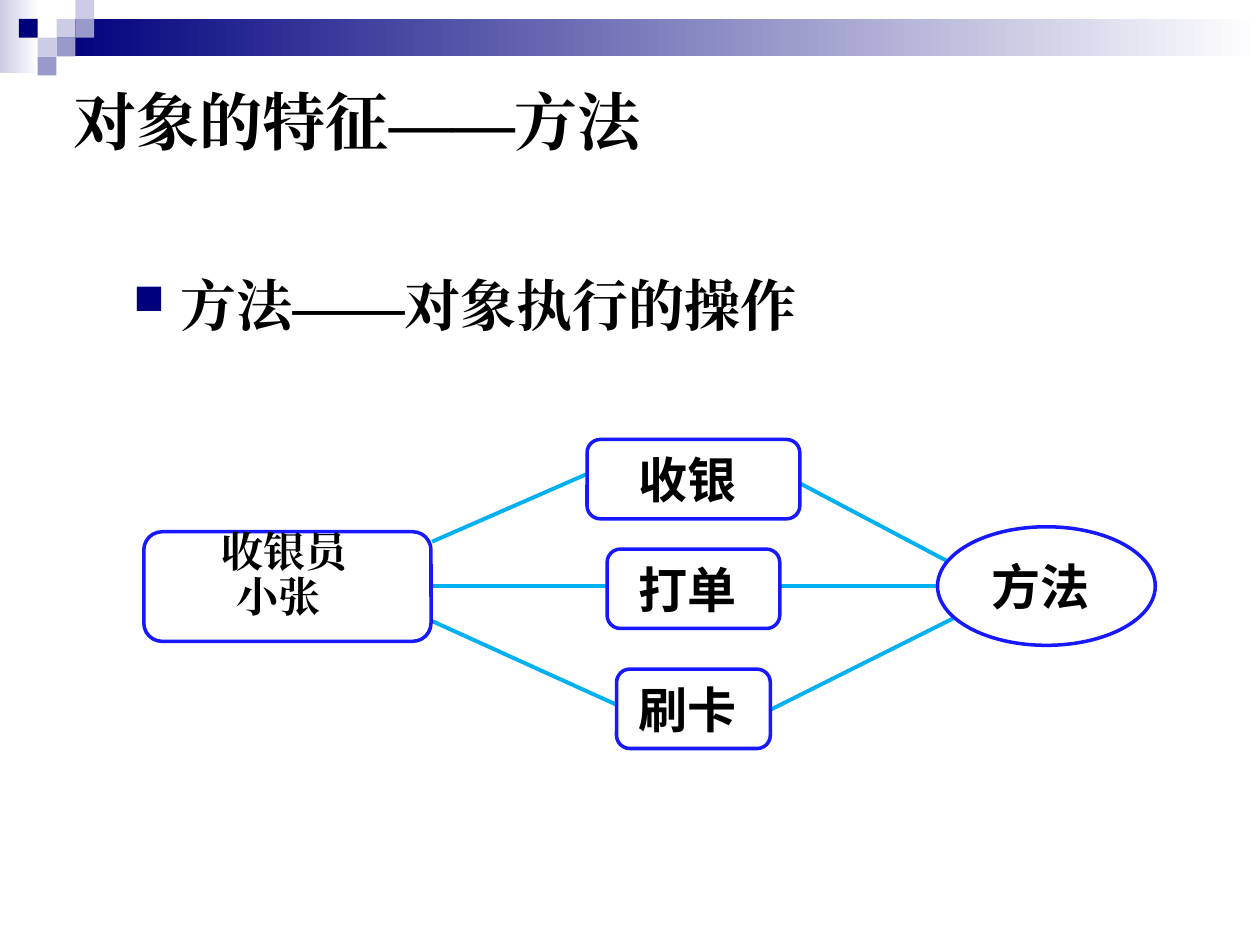
"""Build the slide on the methods of an object."""
from typing import NamedTuple

from lxml.etree import SubElement
from pptx import Presentation
from pptx.dml.color import RGBColor
from pptx.enum.shapes import MSO_CONNECTOR, MSO_SHAPE as Preset
from pptx.enum.text import MSO_ANCHOR as Anchor, PP_ALIGN as Align
from pptx.oxml.ns import qn
from pptx.util import Cm, Pt

NAVY, LAVENDER, VIOLET = "00007D", "CCCCE6", "9999CC"
WHITE, BLACK, OUTLINE, LINK = "FFFFFF", "000000", "1818FF", "00B0F0"
SERIF, SANS = "Times New Roman", "Noto Sans CJK SC"
TILE = 0.38
AXIS = 13.98


class Area(NamedTuple):
    left: float
    top: float
    width: float
    height: float


class Tile(NamedTuple):
    column: int
    row: int
    color: str


class Link(NamedTuple):
    x1: float
    y1: float
    x2: float
    y2: float


class Method(NamedTuple):
    name: str
    top: float
    width: float


TILES = [
    Tile(3, 1, LAVENDER), Tile(4, 0, LAVENDER), Tile(4, 1, VIOLET),
    Tile(2, 2, LAVENDER), Tile(1, 1, NAVY), Tile(3, 2, VIOLET),
    Tile(2, 3, VIOLET),
]
LINKS = [
    Link(8.71, 10.92, 11.89, 9.53), Link(8.71, 11.81, 12.5, 11.81),
    Link(8.71, 12.52, 12.7, 14.33), Link(16.1, 9.73, 19.51, 11.53),
    Link(15.49, 11.81, 19.1, 11.81), Link(15.09, 14.53, 19.51, 12.32),
]
METHODS = [
    Method("打单 ", 11.07, 3.48),
    Method("收银 ", 8.86, 4.29),
    Method("刷卡 ", 13.49, 3.1),
]


def rgb(color: str) -> RGBColor:
    return RGBColor.from_string(color)


def add_panel(slide, area: Area, start: str, end: str = ""):
    panel = slide.shapes.add_shape(Preset.RECTANGLE, *map(Cm, area))
    panel.shadow.inherit = False
    panel.line.fill.background()
    if end:
        panel.fill.gradient()
        panel.fill.gradient_angle = 0
        for stop, color in zip(panel.fill.gradient_stops, (start, end)):
            stop.color.rgb = rgb(color)
    else:
        panel.fill.solid()
        panel.fill.fore_color.rgb = rgb(start)


def add_link(slide, link: Link):
    line = slide.shapes.add_connector(MSO_CONNECTOR.STRAIGHT, *map(Cm, link))
    line.line.color.rgb = rgb(LINK)
    line.line.width = Pt(2.25)
    SubElement(line._element.spPr, qn("a:effectLst"))


def add_node(slide, preset: Preset, area: Area):
    node = slide.shapes.add_shape(preset, *map(Cm, area))
    node.shadow.inherit = False
    node.fill.solid()
    node.fill.fore_color.rgb = rgb(WHITE)
    node.line.color.rgb = rgb(OUTLINE)
    node.line.width = Pt(2)
    return node


def add_bullet(paragraph):
    properties = paragraph._p.get_or_add_pPr()
    properties.set("marL", str(Cm(0.95)))
    properties.set("indent", str(-Cm(0.95)))
    color = SubElement(properties, qn("a:buClr"))
    SubElement(color, qn("a:srgbClr"), val=NAVY)
    SubElement(properties, qn("a:buSzPct"), val="75000")
    SubElement(properties, qn("a:buChar"), char="■")


def write(shape, lines: list[str], size: float, face: str, align: Align = Align.CENTER,
          anchor: Anchor = Anchor.MIDDLE, wrap: bool = False, bullet: bool = False,
          spacing: float = 1.0):
    frame = shape.text_frame
    frame.text = "\n".join(lines)
    frame.word_wrap = wrap
    frame.vertical_anchor = anchor
    formats = {"name": face, "size": Pt(size), "bold": True}
    for paragraph in frame.paragraphs:
        paragraph.alignment = align
        paragraph.line_spacing = spacing
        if bullet:
            add_bullet(paragraph)
        for run in paragraph.runs:
            for key, value in formats.items():
                setattr(run.font, key, value)
            run.font.color.rgb = rgb(BLACK)
            SubElement(run._r.get_or_add_rPr(), qn("a:ea"), typeface=face)


def add_text(slide, area: Area, lines: list[str], size: float, **layout):
    box = slide.shapes.add_textbox(*map(Cm, area))
    write(box, lines, size, SERIF, **layout)


def main():
    deck = Presentation()
    deck.slide_width, deck.slide_height = Cm(25.4), Cm(19.05)
    slide = deck.slides.add_slide(deck.slide_layouts[6])

    add_panel(slide, Area(0, 0, 0.79, 1.47), LAVENDER, WHITE)
    add_panel(slide, Area(3 * TILE, TILE, 25.4 - 3 * TILE, 2 * TILE), NAVY, WHITE)
    for tile in TILES:
        add_panel(slide, Area(tile.column * TILE, tile.row * TILE, TILE, TILE), tile.color)

    add_text(slide, Area(1.24, 1.32, 22.86, 2.21), ["对象的特征——方法"], 36,
             align=Align.LEFT, wrap=True)
    add_text(slide, Area(2.44, 5.33, 22.86, 13.7), ["方法——对象执行的操作"], 32,
             align=Align.LEFT, anchor=Anchor.TOP, wrap=True, bullet=True)

    for link in LINKS:
        add_link(slide, link)
    result = add_node(slide, Preset.OVAL, Area(18.9, 10.62, 4.39, 2.39))
    write(result, ["方法 "], 28, SANS)
    add_node(slide, Preset.ROUNDED_RECTANGLE, Area(2.9, 10.72, 5.79, 2.21))
    add_text(slide, Area(3.33, 10.72, 4.8, 1.8), ["收银员", "小张 "], 24, spacing=0.9)
    for method in METHODS:
        area = Area(AXIS - method.width / 2, method.top, method.width, 1.6)
        node = add_node(slide, Preset.ROUNDED_RECTANGLE, area)
        write(node, [method.name], 28, SANS)

    deck.save("out.pptx")


if __name__ == "__main__":
    main()
